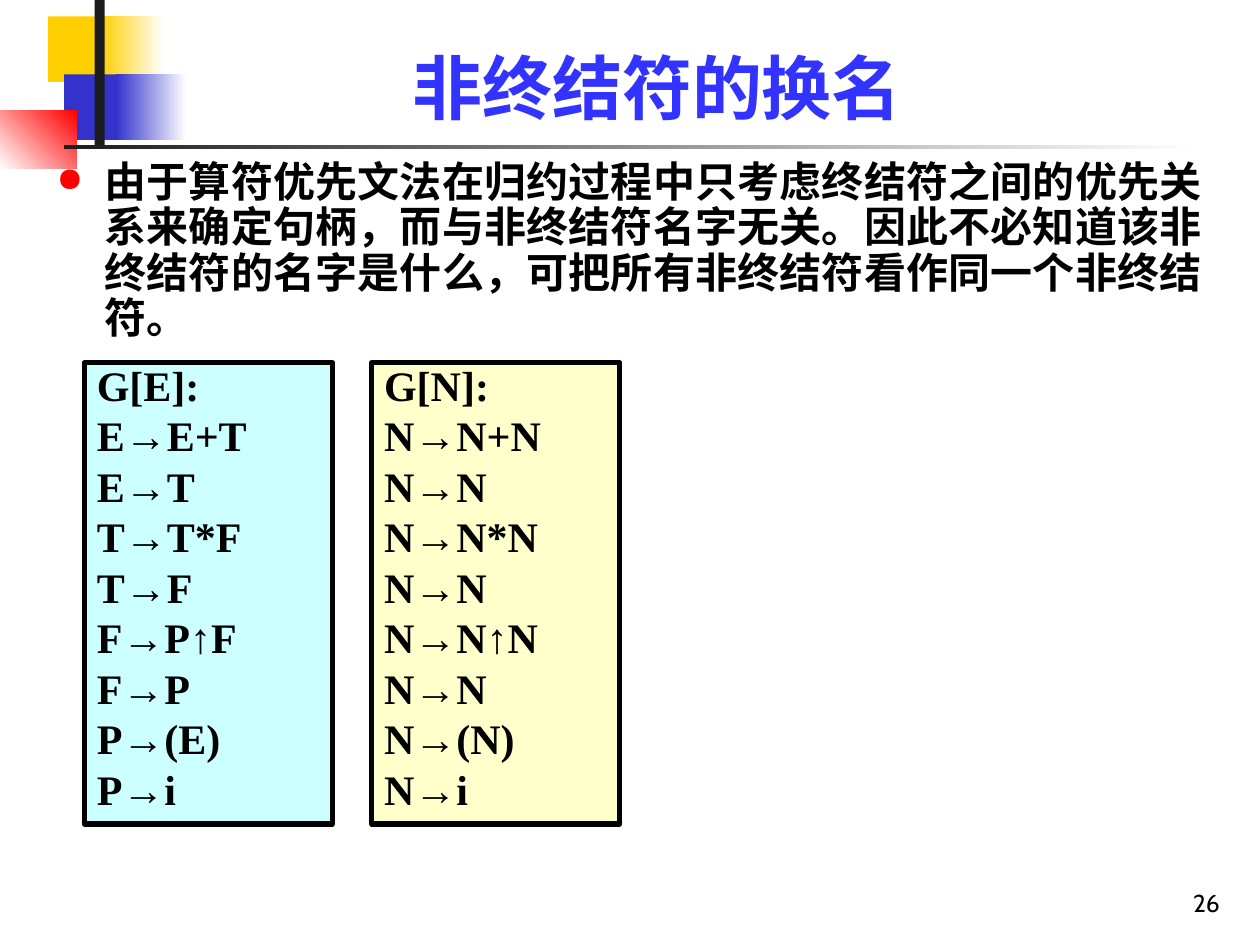
"""Build the slide on renaming the nonterminals of a grammar."""
from lxml import etree
from pptx import Presentation
from pptx.dml.color import RGBColor
from pptx.enum import shapes, text
from pptx.oxml import ns
from pptx.util import Inches, Pt

C = {"yellow": "FFCF01", "blue": "3333CC", "red": "FF0000", "dark": "1C1C1C",
     "white": "FFFFFF", "black": "000000", "title": "3333FF",
     "cyan": "CCFFFF", "cream": "FFFFCC"}
SERIF = "Times New Roman"

prs = Presentation()
prs.slide_width, prs.slide_height = Inches(10), Inches(7.5)
s = prs.slides.add_slide(prs.slide_layouts[6])


def add_rect(box, colors, angle=0):
    sp = s.shapes.add_shape(shapes.MSO_SHAPE.RECTANGLE, *map(Inches, box))
    sp.shadow.inherit = False
    sp.line.fill.background()
    if len(colors) == 1:
        sp.fill.solid()
        sp.fill.fore_color.rgb = RGBColor.from_string(C[colors[0]])
    else:
        sp.fill.gradient()
        sp.fill.gradient_angle = angle
        for stop, color in zip(sp.fill.gradient_stops, colors):
            stop.color.rgb = RGBColor.from_string(C[color])
    return sp


def add_run(p, words, size, color="black", font=SERIF, bold=True):
    r = p.add_run()
    r.text = words
    r.font.size, r.font.name, r.font.bold = Pt(size), font, bold
    r.font.color.rgb = RGBColor.from_string(C[color])


for box, colors, angle in [
    ((0.38, 0.13, 0.67, 0.52), ["yellow"], 0),
    ((0.8, 0.13, 0.5, 0.52), ["yellow", "white"], 0),
    ((0.51, 0.59, 0.64, 0.52), ["blue"], 0),
    ((0.92, 0.59, 0.56, 0.52), ["blue", "white"], 0),
    ((0, 0.88, 0.61, 0.46), ["white", "red"], 45),
    ((0.75, 0, 0.08, 1.15), ["dark"], 0),
    ((0.51, 1.15, 9, 0.03), ["dark", "white"], 0),
]:
    add_rect(box, colors, angle)

paragraphs = []
for box, anchor, align, words, style in [
    ((7.7, 6.83, 2.08, 0.5), "BOTTOM", "RIGHT", "26", (14, "black", "Cabin", False)),
    ((1.26, 0.23, 7.91, 0.84), "BOTTOM", "CENTER", "非终结符的换名", (40, "title")),
    ((0.35, 1.23, 9.29, 1.65), "TOP", "JUSTIFY",
     "由于算符优先文法在归约过程中只考虑终结符之间的优先关系来确定句柄，"
     "而与非终结符名字无关。因此不必知道该非终结符的名字是什么，"
     "可把所有非终结符看作同一个非终结符。", (24,)),
]:
    tf = s.shapes.add_textbox(*map(Inches, box)).text_frame
    tf.word_wrap = True
    tf.vertical_anchor = text.MSO_ANCHOR[anchor]
    p = tf.paragraphs[0]
    p.alignment = text.PP_ALIGN[align]
    add_run(p, words, *style)
    paragraphs.append(p)

body = paragraphs[-1]
body.line_spacing = 0.9
pPr = body._p.get_or_add_pPr()
pPr.set("marL", str(Inches(0.38)))
pPr.set("indent", str(-Inches(0.38)))
color = etree.SubElement(pPr, ns.qn("a:buClr"))
etree.SubElement(color, ns.qn("a:srgbClr"), val=C["red"])
etree.SubElement(pPr, ns.qn("a:buSzPct"), val="80000")
etree.SubElement(pPr, ns.qn("a:buChar"), char="●")

grammars = [
    (2.95, "cream", ["G[N]:", "N→N+N", "N→N", "N→N*N", "N→N",
                     "N→N↑N", "N→N", "N→(N)", "N→i"]),
    (0.67, "cyan", ["G[E]:", "E→E+T", "E→T", "T→T*F", "T→F",
                    "F→P↑F", "F→P", "P→(E)", "P→i"]),
]
for left, fill, rules in grammars:
    sp = add_rect((left, 2.88, 1.97, 3.66), [fill])
    sp.line.color.rgb = RGBColor.from_string(C["black"])
    sp.line.width = Pt(3)
    tf = sp.text_frame
    tf.word_wrap = True
    tf.vertical_anchor = text.MSO_ANCHOR.TOP
    for i, rule in enumerate(rules):
        p = tf.add_paragraph() if i else tf.paragraphs[0]
        p.alignment = text.PP_ALIGN.LEFT
        p.line_spacing, p.space_before = 0.8, Pt(5.8)
        pPr = p._p.get_or_add_pPr()
        pPr.set("marL", str(Inches(0.38)))
        pPr.set("indent", str(-Inches(0.38)))
        add_run(p, rule, 24)

prs.save("out.pptx")
